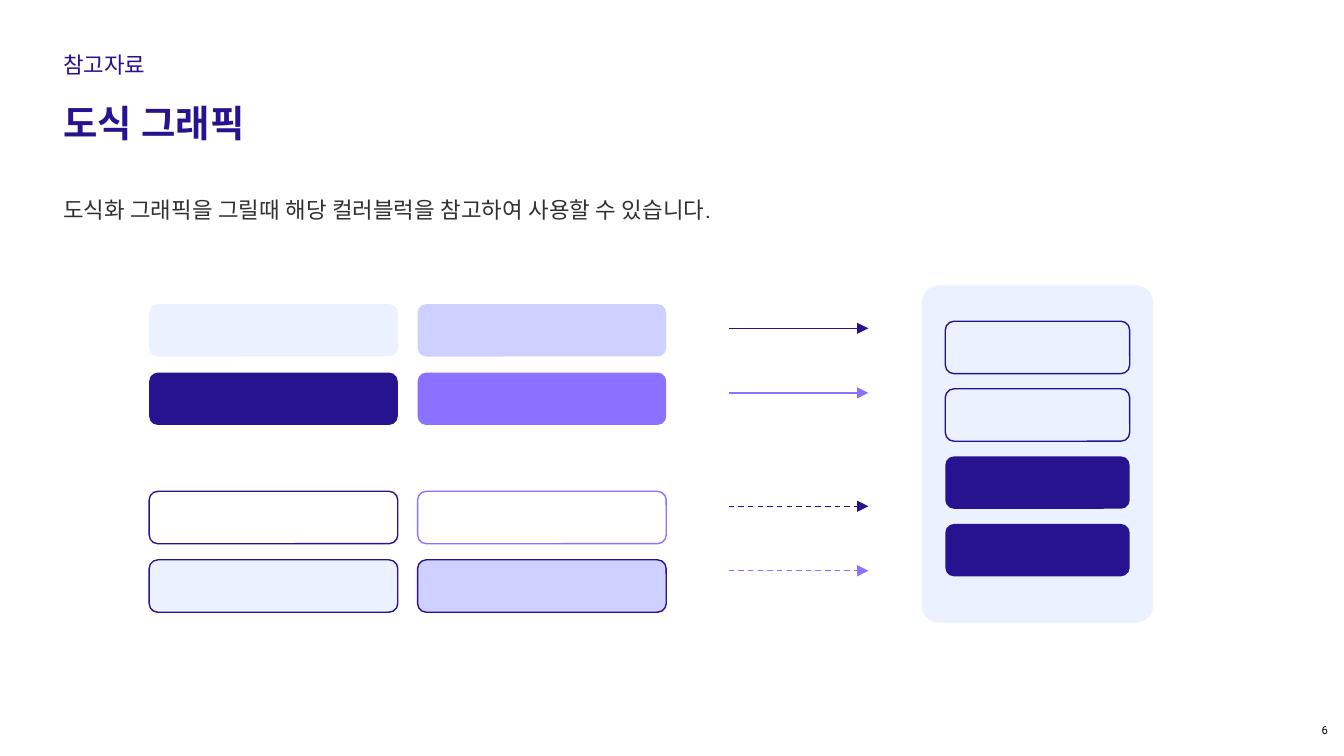
from lxml import etree
from pptx import Presentation
from pptx.dml.color import RGBColor
from pptx.enum.dml import MSO_LINE
from pptx.enum.shapes import MSO_CONNECTOR, MSO_SHAPE
from pptx.enum.text import MSO_ANCHOR, PP_ALIGN
from pptx.oxml.ns import qn
from pptx.util import Pt

ROUNDED = MSO_SHAPE.ROUNDED_RECTANGLE
STRAIGHT = MSO_CONNECTOR.STRAIGHT
DASH = MSO_LINE.DASH
LEFT, RIGHT = PP_ALIGN.LEFT, PP_ALIGN.RIGHT
TOP = MSO_ANCHOR.TOP

FONT = "Roboto"
COLORS = {
    "navy": "27138F",
    "violet": "8B71FF",
    "lavender": "CED0FF",
    "pale": "ECF1FF",
    "white": "FFFFFF",
    "body": "303030",
    "black": "000000",
}
LINE_WIDTH = 0.75
BLOCK_HEIGHT = 28.1


def rgb(name):
    return RGBColor.from_string(COLORS[name])


def add_text(slide, box, text, size, color, bold=False, spacing=1.0,
             align=LEFT, inset=3.6):
    text_box = slide.shapes.add_textbox(*map(Pt, box))
    frame = text_box.text_frame
    frame.word_wrap = True
    frame.vertical_anchor = TOP
    frame.margin_left = frame.margin_right = Pt(inset)
    frame.margin_top = frame.margin_bottom = Pt(inset)
    frame.text = text
    paragraph = frame.paragraphs[0]
    paragraph.alignment = align
    paragraph.line_spacing = spacing
    font = paragraph.runs[0].font
    font.name, font.size, font.bold = FONT, Pt(size), bold
    font.color.rgb = rgb(color)
    # Korean glyphs take the East Asian typeface
    properties = paragraph.runs[0]._r.get_or_add_rPr()
    etree.SubElement(properties, qn("a:ea"), typeface=FONT)


def add_block(slide, box, fill, outline=None, radius=0.167):
    block = slide.shapes.add_shape(ROUNDED, *map(Pt, box))
    block.adjustments[0] = radius
    block.shadow.inherit = False
    block.fill.solid()
    block.fill.fore_color.rgb = rgb(fill)
    if outline:
        block.line.color.rgb = rgb(outline)
        block.line.width = Pt(LINE_WIDTH)
    else:
        block.line.fill.background()


def add_arrow(slide, left, right, y, color, dashed):
    arrow = slide.shapes.add_connector(STRAIGHT, Pt(left), Pt(y), Pt(right), Pt(y))
    arrow.line.color.rgb = rgb(color)
    arrow.line.width = Pt(LINE_WIDTH)
    if dashed:
        arrow.line.dash_style = DASH
    etree.SubElement(arrow.line._get_or_add_ln(), qn("a:tailEnd"), type="triangle")
    etree.SubElement(arrow._element.spPr, qn("a:effectLst"))


def add_header(slide, box):
    left, top, width, _ = box
    add_text(slide, (left, top, 325.4, 21.6), "참고자료", 12, "navy", spacing=1.15)
    add_text(slide, (left, top + 25.2, 636.5, 31.7), "도식 그래픽", 20, "navy",
             bold=True, spacing=1.15)
    add_text(slide, (left, top + 72.7, width, 21.6),
             "도식화 그래픽을 그릴때 해당 컬러블럭을 참고하여 사용할 수 있습니다.",
             12, "body", spacing=1.5)


def add_block_grid(slide, box, rows):
    left, top, width, height = box
    block_width = 133.2
    column_step = width - block_width
    row_step = height - BLOCK_HEIGHT
    for row, styles in enumerate(rows):
        for column, (fill, outline) in enumerate(styles):
            add_block(slide, (left + column * column_step, top + row * row_step,
                              block_width, BLOCK_HEIGHT), fill, outline)


def add_arrow_pair(slide, box, dashed):
    left, top, width, height = box
    for y, color in ((top, "navy"), (top + height, "violet")):
        add_arrow(slide, left, left + width, y, color, dashed)


def add_panel(slide, box, styles):
    left, top, width, _ = box
    add_block(slide, box, "pale", radius=0.073)
    inset, first, step = 12.5, 19.2, 36.2
    for index, (fill, outline) in enumerate(styles):
        add_block(slide, (left + inset, top + first + index * step,
                          width - 2 * inset, BLOCK_HEIGHT), fill, outline)


def build_slide(presentation):
    slide = presentation.slides.add_slide(presentation.slide_layouts[6])
    add_header(slide, (30.2, 21.6, 658, 94.3))
    # Colour blocks: plain, then outlined
    add_block_grid(slide, (79.9, 162.9, 277, 64.8), [
        [("pale", None), ("lavender", None)],
        [("navy", None), ("violet", None)],
    ])
    add_block_grid(slide, (79.9, 263.2, 277, 64.8), [
        [("white", "navy"), ("white", "violet")],
        [("pale", "navy"), ("lavender", "navy")],
    ])
    # Arrows: solid, then dashed
    add_arrow_pair(slide, (390.4, 175.9, 74.8, 34.6), dashed=False)
    add_arrow_pair(slide, (390.4, 271.2, 74.8, 34.6), dashed=True)
    # Grouped blocks
    add_panel(slide, (493.9, 152.9, 123.8, 180.6),
              [("pale", "navy")] * 2 + [("navy", None)] * 2)
    # Page number
    add_text(slide, (669.6, 386, 43.2, 10.8), "6", 6, "black", align=RIGHT, inset=1.4)


def main():
    presentation = Presentation()
    presentation.slide_width, presentation.slide_height = Pt(720), Pt(405)
    build_slide(presentation)
    presentation.save("out.pptx")


if __name__ == "__main__":
    main()
